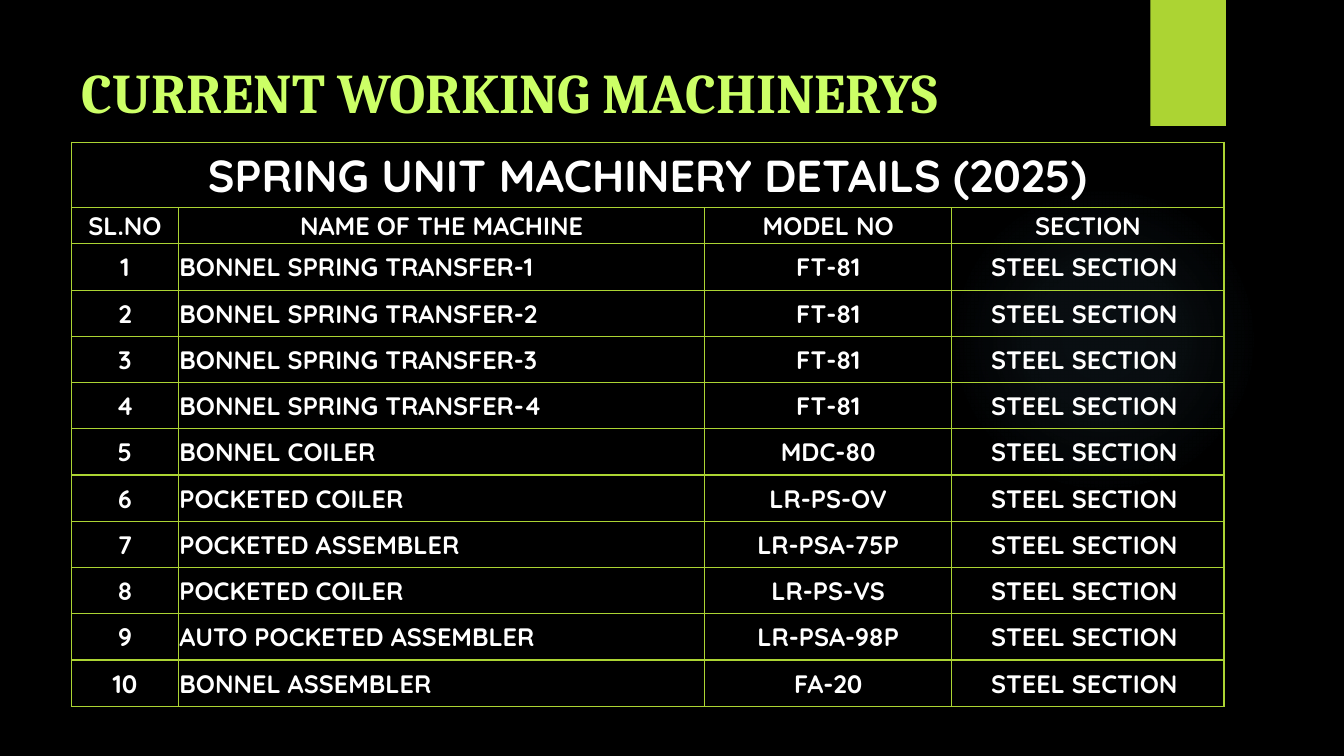
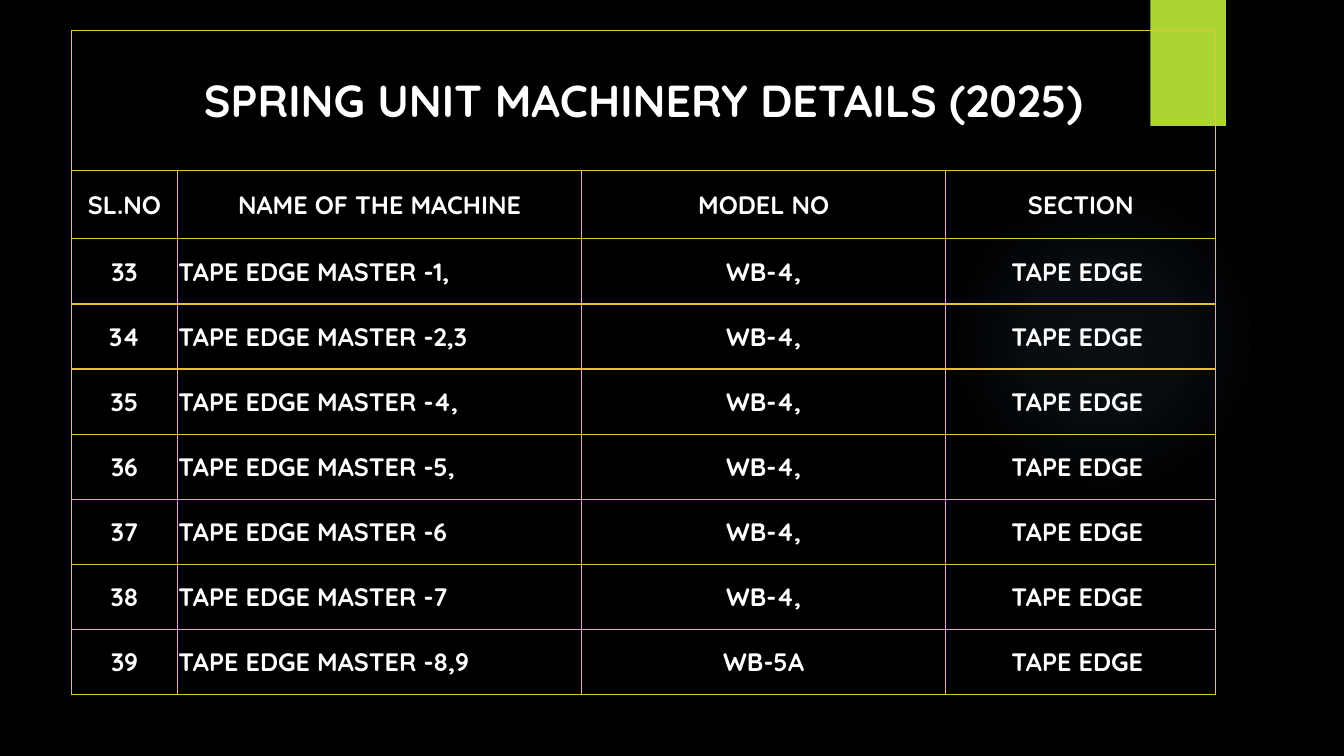
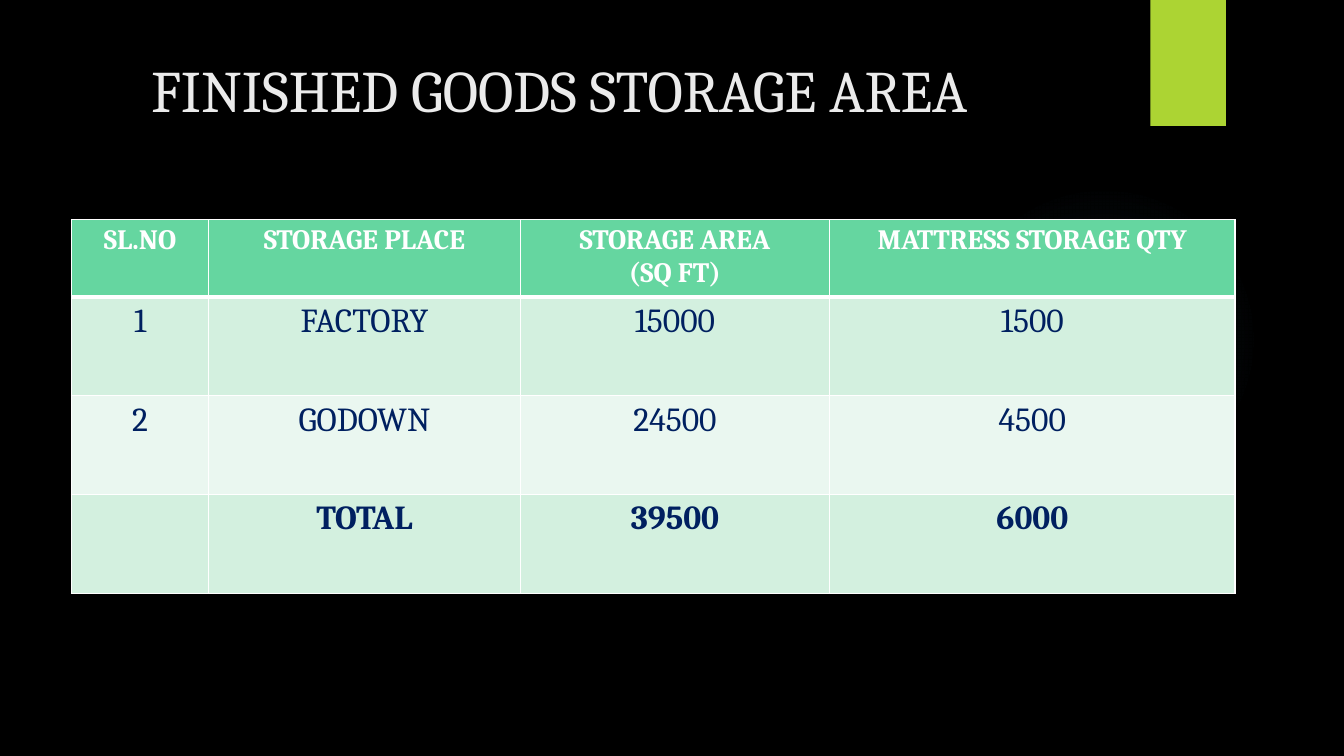
from lxml import etree
from pptx import Presentation
from pptx.dml.color import RGBColor
from pptx.enum.shapes import MSO_SHAPE as Shape
from pptx.enum.text import MSO_ANCHOR as Anchor, PP_ALIGN as Align
from pptx.oxml import parse_xml
from pptx.oxml.ns import nsdecls, qn
from pptx.util import Inches, Pt

BLACK, WHITE, NAVY = "000000", "FFFFFF", "002060"
LIME, GOLD, GLOW = "ACD433", "E6C133", "7AC4F0"
MINT, MINT_MID, MINT_PALE = "65D6A0", "D3F0DF", "EAF7F0"
TABLE_LEFT = 0.71


def colour(value):
    return RGBColor.from_string(value)


def add_run(paragraph, text, font, size, text_colour, bold):
    run = paragraph.add_run()
    run.text = text
    run.font.name = font
    run.font.size = Pt(size)
    run.font.color.rgb = colour(text_colour)
    run.font.bold = bold


# Contents: machinery tables share their banner, headings and text styles
banner = ["SPRING UNIT MACHINERY DETAILS (2025)", "", "", ""]
headings = ["SL.NO", "NAME OF THE MACHINE", "MODEL NO", "SECTION"]
machines = [
    ("BONNEL SPRING TRANSFER-1", "FT-81"),
    ("BONNEL SPRING TRANSFER-2", "FT-81"),
    ("BONNEL SPRING TRANSFER-3", "FT-81"),
    ("BONNEL SPRING TRANSFER-4", "FT-81"),
    ("BONNEL COILER", "MDC-80"),
    ("POCKETED COILER", "LR-PS-OV"),
    ("POCKETED ASSEMBLER", "LR-PSA-75P"),
    ("POCKETED COILER", "LR-PS-VS"),
    ("AUTO POCKETED ASSEMBLER", "LR-PSA-98P"),
    ("BONNEL ASSEMBLER", "FA-20"),
]
tape_edges = ["1,", "2,3", "4,", "5,", "6", "7", "8,9"]
steel_rows = [[str(number), name, model, "STEEL SECTION "]
              for number, (name, model) in enumerate(machines, 1)]
tape_rows = [[str(number), f"TAPE EDGE MASTER -{suffix}",
              "WB-5A" if number == 39 else "WB-4,", "TAPE EDGE "]
             for number, suffix in enumerate(tape_edges, 33)]

# Row style: size, text colour, bold, fill
machinery_styles = [(32, WHITE, True, None), (18, WHITE, True, None)]
storage_styles = [
    (20, WHITE, True, MINT),
    (24, NAVY, False, MINT_MID),
    (24, NAVY, False, MINT_PALE),
    (24, NAVY, True, MINT_MID),
]

# Title: text, left, top, size, colour, bold. The last style serves all later rows.
pages = [
    dict(title=("CURRENT WORKING MACHINERYS", 0.71, 0.5, 40, "CCFF66", True),
         top=1.41, height=5.6, columns=[1.06, 5.22, 2.45, 2.7],
         head_heights=[0.65, 0.36], rows=[banner, headings] + steel_rows,
         styles=machinery_styles, font="Quicksand", border=LIME, machinery=True),
    dict(title=None,
         top=0.3, height=6.59, columns=[1.05, 4.01, 3.61, 2.68],
         head_heights=[1.39, 0.68], rows=[banner, headings] + tape_rows,
         styles=machinery_styles, font="Quicksand", border=GOLD, machinery=True),
    dict(title=("FINISHED GOODS STORAGE AREA", 1.4, 0.48, 42, "EBEBEB", False),
         top=2.18, height=3.68, columns=[1.36, 3.09, 3.07, 4.02],
         head_heights=[0.74],
         rows=[["SL.NO", "STORAGE PLACE", "STORAGE AREA\n(SQ FT)", "MATTRESS STORAGE QTY"],
               ["1", "FACTORY", "15000", "1500"],
               ["2", "GODOWN", "24500", "4500"],
               ["", "TOTAL", "39500", "6000"]],
         styles=storage_styles, font="Cambria", border=WHITE, machinery=False),
]

presentation = Presentation()
presentation.slide_width = Inches(13.33)
presentation.slide_height = Inches(7.5)
background = presentation.slide_master.background.fill
background.solid()
background.fore_color.rgb = colour(BLACK)

for page in pages:
    slide = presentation.slides.add_slide(presentation.slide_layouts[6])

    # Soft round glow
    glow = slide.shapes.add_shape(Shape.OVAL, Inches(9.41), Inches(1.83),
                                  Inches(3.08), Inches(3.08))
    glow.shadow.inherit = False
    glow.line.fill.background()
    stops = "".join(
        f'<a:gs pos="{position * 1000}"><a:srgbClr val="{GLOW}">'
        f'<a:alpha val="{alpha * 1000}"/></a:srgbClr></a:gs>'
        for position, alpha in [(0, 7), (36, 6), (69, 0)])
    gradient = parse_xml(
        f'<a:gradFill {nsdecls("a")}><a:gsLst>{stops}</a:gsLst><a:path path="circle">'
        '<a:fillToRect l="50000" t="50000" r="50000" b="50000"/></a:path></a:gradFill>')
    glow.element.spPr.find(qn("a:prstGeom")).addnext(gradient)

    # Corner band
    band = slide.shapes.add_shape(Shape.RECTANGLE, Inches(11.41), 0,
                                  Inches(0.75), Inches(1.25))
    band.shadow.inherit = False
    band.fill.solid()
    band.fill.fore_color.rgb = colour(LIME)
    band.line.fill.background()

    # Title
    if page["title"]:
        text, left, top, size, title_colour, bold = page["title"]
        title = slide.shapes.add_textbox(Inches(left), Inches(top), Inches(10), Inches(0.8))
        title.text_frame.word_wrap = True
        title.text_frame.vertical_anchor = Anchor.MIDDLE
        add_run(title.text_frame.paragraphs[0], text, "Cambria", size, title_colour, bold)

    # Table grid: body rows share the height left under the head rows
    rows, columns, heads = page["rows"], page["columns"], page["head_heights"]
    body_height = (page["height"] - sum(heads)) / (len(rows) - len(heads))
    table = slide.shapes.add_table(
        len(rows), len(columns), Inches(TABLE_LEFT), Inches(page["top"]),
        Inches(sum(columns)), Inches(page["height"])).table
    table.first_row = table.horz_banding = False
    for column, width in zip(table.columns, columns):
        column.width = Inches(width)
    if page["machinery"]:
        table.cell(0, 0).merge(table.cell(0, len(columns) - 1))

    for row_index, row in enumerate(rows):
        table.rows[row_index].height = Inches(
            heads[row_index] if row_index < len(heads) else body_height)
        size, text_colour, bold, fill = page["styles"][min(row_index, len(page["styles"]) - 1)]

        for column_index, text in enumerate(row):
            cell = table.cell(row_index, column_index)
            if fill:
                cell.fill.solid()
                cell.fill.fore_color.rgb = colour(fill)
            else:
                cell.fill.background()
            if page["machinery"]:
                cell.vertical_anchor = Anchor.MIDDLE
                cell.margin_left = cell.margin_right = cell.margin_top = Inches(0.01)
                cell.margin_bottom = 0

            # Borders, with a heavier rule under the storage headings
            heavy_side = None if page["machinery"] else {0: "lnB", 1: "lnT"}.get(row_index)
            properties = cell._tc.get_or_add_tcPr()
            for position, side in enumerate(["lnL", "lnR", "lnT", "lnB"]):
                border = etree.Element(qn(f"a:{side}"),
                                       w=str(Pt(3 if side == heavy_side else 1)))
                line_fill = etree.SubElement(border, qn("a:solidFill"))
                etree.SubElement(line_fill, qn("a:srgbClr"), val=page["border"])
                properties.insert(position, border)

            # Text: machine names sit left, all else is centred
            is_name = page["machinery"] and row_index >= len(heads) and column_index == 1
            for line_index, line in enumerate(text.split("\n") if text else []):
                frame = cell.text_frame
                paragraph = frame.add_paragraph() if line_index else frame.paragraphs[0]
                paragraph.alignment = Align.LEFT if is_name else Align.CENTER
                add_run(paragraph, line, page["font"], size, text_colour, bold)

presentation.save("out.pptx")
